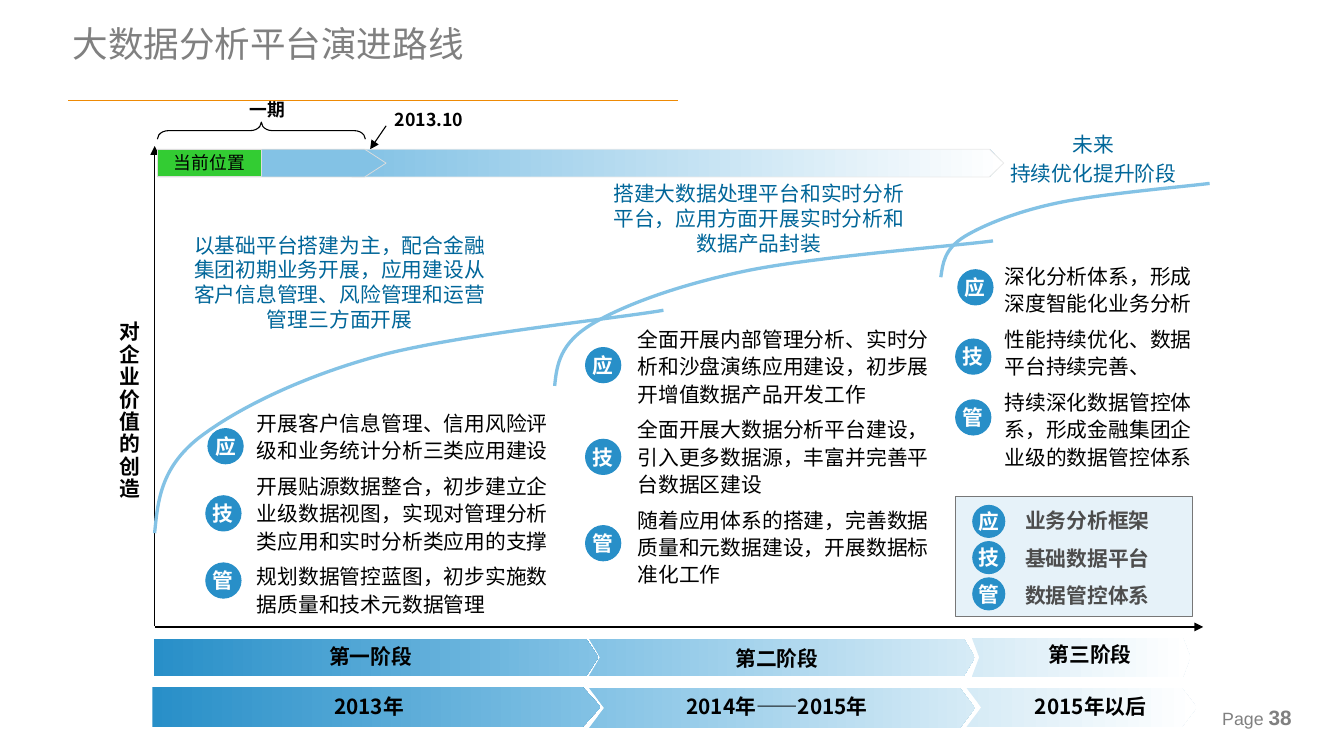
from lxml.etree import SubElement
from pptx import Presentation
from pptx.dml.color import RGBColor
from pptx.enum.shapes import MSO_CONNECTOR as Link, MSO_SHAPE as Form
from pptx.enum.text import MSO_ANCHOR as Anchor, PP_ALIGN as Align
from pptx.oxml.ns import qn
from pptx.util import Pt

PX = 9144  # 100 px to the inch
CJK = "Noto Sans CJK SC"
BLUE, SKY, PALE, WHITE = "288FC8", "83C2E5", "D6EBF6", "FFFFFF"
BLACK, TEAL, GREY = "000000", "006699", "808080"
rgb = RGBColor.from_string

deck = Presentation()
deck.slide_width, deck.slide_height = 1260 * PX, 709 * PX
slide = deck.slides.add_slide(deck.slide_layouts[5])
shapes = slide.shapes


def draw(form, box, fill=None, line=None, width=0.75, adj=()):
    """Add a preset shape, or a text box if form is None; a fill pair is a gradient."""
    place = [v * PX for v in box]
    if form is None:
        return shapes.add_textbox(*place)
    shape = shapes.add_shape(form, *place)
    shape.shadow.inherit = False
    for i, value in enumerate(adj):
        shape.adjustments[i] = value
    if fill is None:
        shape.fill.background()
    elif isinstance(fill, tuple):
        shape.fill.gradient()
        shape.fill.gradient_angle = 0
        for stop, tone in zip(shape.fill.gradient_stops, fill):
            stop.color.rgb = rgb(tone)
    else:
        shape.fill.solid()
        shape.fill.fore_color.rgb = rgb(fill)
    if line:
        shape.line.color.rgb = rgb(line)
        shape.line.width = Pt(width)
    else:
        shape.line.fill.background()
    return shape


def write(shape, paras, color=BLACK, size=14, bold=False, align=Align.LEFT,
          gap=0, lead=None, inset=(10, 5), bullet=None, wrap=True, anchor=Anchor.TOP):
    frame = shape.text_frame
    side, top = (v * PX for v in inset)
    look = dict(word_wrap=wrap, vertical_anchor=anchor, margin_left=side,
                margin_right=side, margin_top=top, margin_bottom=top)
    for key, value in look.items():
        setattr(frame, key, value)
    for i, words in enumerate(paras):
        para = frame.paragraphs[0] if i == 0 else frame.add_paragraph()
        para.alignment = align
        if lead:
            para.line_spacing = lead
        if i:
            para.space_before = Pt(gap)
        if bullet:
            props = para._p.get_or_add_pPr()
            props.set("marL", str(25 * PX))
            props.set("indent", str(-25 * PX))
            SubElement(SubElement(props, qn("a:buClr")), qn("a:srgbClr"), val=WHITE)
            SubElement(props, qn("a:buSzPct"), val="80000")
            SubElement(props, qn("a:buChar"), char=bullet)
        run = para.add_run()
        run.text = words
        for key, value in dict(name=CJK, size=Pt(size), bold=bold).items():
            setattr(run.font, key, value)
        run.font.color.rgb = rgb(color)
        SubElement(run._r.get_or_add_rPr(), qn("a:ea"), typeface=CJK)


# Title and page number
title = shapes.title
title.left, title.top, title.width, title.height = (v * PX for v in (58, 16, 889, 41))
write(title, ["大数据分析平台演进路线"], GREY, 24)

page = draw(None, (1136, 660, 125, 26)).text_frame
page.vertical_anchor = Anchor.MIDDLE
for words, size, bold in (("Page ", 12, False), ("38", 14, True)):
    run = page.paragraphs[0].add_run()
    run.text = words
    for key, value in dict(name="Arial", size=Pt(size), bold=bold).items():
        setattr(run.font, key, value)
    run.font.color.rgb = rgb(GREY)

# Stage details
for form, box, paras in (
    (Form.RECTANGLE, (206, 378, 319, 209),
     ["开展客户信息管理、信用风险评级和业务统计分析三类应用建设",
      "开展贴源数据整合，初步建立企业级数据视图，实现对管理分析类应用和实时分析类应用的支撑",
      "规划数据管控蓝图，初步实施数据质量和技术元数据管理"]),
    (None, (563, 299, 319, 262),
     ["全面开展内部管理分析、实时分析和沙盘演练应用建设，初步展开增值数据产品开发工作",
      "全面开展大数据分析平台建设，引入更多数据源，丰富并完善平台数据区建设",
      "随着应用体系的搭建，完善数据质量和元数据建设，开展数据标准化工作"]),
    (None, (907, 240, 230, 210),
     ["深化分析体系，形成深度智能化业务分析",
      "性能持续优化、数据平台持续完善、",
      "持续深化数据管控体系，形成金融集团企业级的数据管控体系"]),
):
    write(draw(form, box, WHITE), paras, gap=5.6, lead=1.1, bullet="◻")

# Title rule, axes and date pointer
for ends, color, width, tip in (
    ((64, 94, 636, 94), "EE8A04", 0.75, None),
    ((145, 588, 1128, 588), BLACK, 1, "a:tailEnd"),
    ((145, 587, 145, 137), BLACK, 1, "a:tailEnd"),
    ((347, 140, 362, 118), BLACK, 0.75, "a:headEnd"),
):
    link = shapes.add_connector(Link.STRAIGHT, *[v * PX for v in ends])
    link.line.color.rgb = rgb(color)
    link.line.width = Pt(width)
    if tip:
        SubElement(link.line._get_or_add_ln(), qn(tip), type="triangle")
    SubElement(link._element.spPr, qn("a:effectLst"))
write(draw(None, (93, 297, 57, 178)), ["对企业价值的创造"], bold=True,
      align=Align.CENTER, lead=0.9)

# Growth curves: a start point, then three points for each cubic piece
for first, *dots in (
    ((145, 500), (148, 469), (151, 439), (186, 411), (221, 384), (281, 354), (354, 334),
     (427, 314), (576, 299), (622, 291)),
    ((520, 362), (522, 342), (525, 322), (555, 304), (585, 286), (637, 267), (700, 254),
     (763, 241), (892, 231), (931, 226)),
    ((882, 260), (884, 247), (885, 234), (904, 222), (922, 211), (954, 198), (993, 190),
     (1031, 182), (1110, 175), (1134, 172)),
):
    pen = shapes.build_freeform(*first, scale=PX)
    pen.add_line_segments(dots, close=False)
    curve = pen.convert_to_shape()
    curve.shadow.inherit = False
    curve.fill.background()
    curve.line.color.rgb = rgb(SKY)
    curve.line.width = Pt(2.25)
    sides = list(curve._element.iter(qn("a:lnTo")))
    track = sides[0].getparent()
    for i, side in enumerate(sides):
        if i % 3 == 0:
            cubic = SubElement(track, qn("a:cubicBezTo"))
        cubic.append(side[0])
        track.remove(side)

# Stage summaries
for box, paras in (
    ((165, 213, 307, 104), ["以基础平台搭建为主，配合金融集团初期业务开展，应用建设从客户信息管理、风险管理和运营管理三方面开展"]),
    ((556, 165, 311, 81), ["搭建大数据处理平台和实时分析平台，应用方面开展实时分析和数据产品封装"]),
    ((906, 119, 238, 62), ["未来", "持续优化提升阶段"]),
):
    write(draw(None, box), paras, TEAL, align=Align.CENTER, gap=2.8)

# Legend
panel = draw(Form.RECTANGLE, (896, 466, 222, 112), SKY, "777777")
tone = panel._element.spPr.find(qn("a:solidFill"))[0]
SubElement(tone, qn("a:alpha"), val="20000")
for top, words in zip((476, 512, 547), ("业务分析框架", "基础数据平台", "数据管控体系")):
    write(draw(None, (961, top, 118, 24)), [words], "4D4D4D", bold=True,
          inset=(0, 0), wrap=False)

# Round badges
for size, spots in (
    (30, ((912, 474), (912, 508), (912, 542))),
    (33, ((195, 402), (193, 465), (193, 528))),
    (33, ((549, 326), (549, 412), (549, 493))),
    (33, ((898, 253), (896, 318), (896, 375))),
):
    for mark, spot in zip("应技管", spots):
        write(draw(Form.OVAL, (*spot, size, size), BLUE, BLUE), [mark], WHITE, bold=True,
              align=Align.CENTER, inset=(0, 5), wrap=False, anchor=Anchor.MIDDLE)

# Progress bar
draw(Form.PENTAGON, (330, 140, 611, 26), (SKY, WHITE), "EAEAEA", 0.5, [0.52])
draw(Form.PENTAGON, (148, 140, 214, 26), SKY, "DDDDDD", 0.5, [0.77])
draw(Form.RECTANGLE, (148, 140, 97, 26), "33CC33", "DDDDDD")
brace = draw(Form.RIGHT_BRACE, (237, 25, 16, 195), None, BLACK, adj=[0.65, 0.5])
brace.rotation = 270
for box, words, bold in (
    ((234, 93, 34, 20), "一期", True),
    ((370, 102, 67, 20), "2013.10", True),
    ((163, 142, 67, 20), "当前位置", False),
):
    write(draw(None, box), [words], size=12, bold=bold, inset=(0, 0), wrap=False)

# Stage and year bands
fades = (BLUE, SKY), (SKY, PALE), (PALE, WHITE)
forms = Form.PENTAGON, Form.CHEVRON, Form.CHEVRON
for bars, bends, labels, names in (
    (((143, 644, 420, 38), (552, 645, 362, 38), (906, 645, 216, 37)), (0.45, 0.38, 0.38),
     ((148, 646, 396, 34), (567, 646, 323, 33), (924, 646, 197, 33)),
     ("2013年", "2014年——2015年", "2015年以后")),
    (((144, 599, 417, 35), (552, 599, 362, 35), (911, 598, 205, 37)), (0.33, 0.3, 0.19),
     ((148, 599, 399, 34), (567, 601, 323, 33), (923, 597, 198, 34)),
     ("第一阶段", "第二阶段", "第三阶段")),
):
    for form, bar, fade, bend, label, name in zip(forms, bars, fades, bends, labels, names):
        draw(form, bar, fade, adj=[bend])
        write(draw(None, label), [name], bold=True, align=Align.CENTER)

deck.save("out.pptx")
